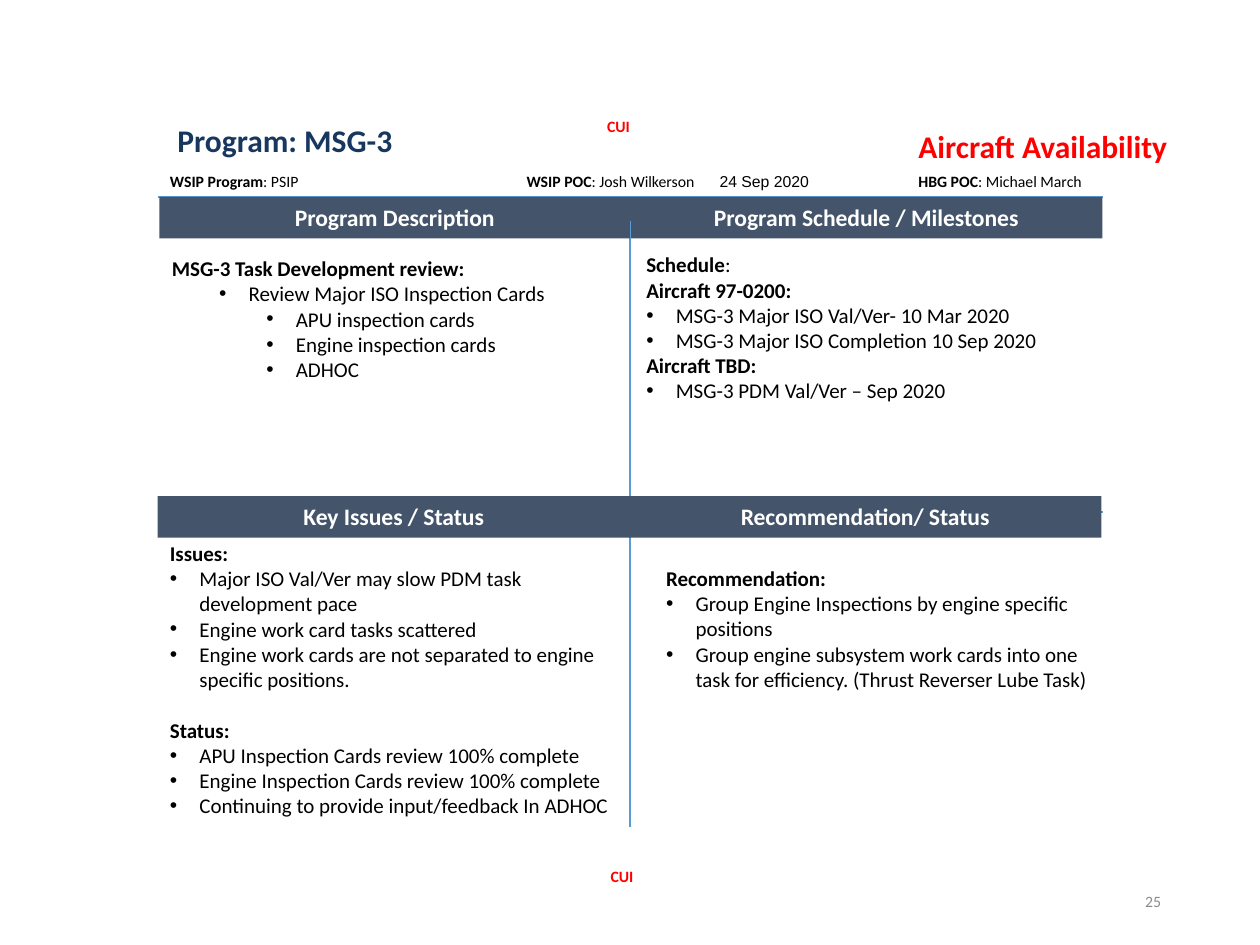
from lxml import etree
from pptx import Presentation
from pptx.dml.color import RGBColor
from pptx.enum.shapes import MSO_CONNECTOR, MSO_SHAPE
from pptx.enum.text import MSO_ANCHOR, PP_ALIGN
from pptx.oxml.ns import qn
from pptx.util import Pt

LINE, RECT = MSO_CONNECTOR.STRAIGHT, MSO_SHAPE.RECTANGLE
LEFT, CENTER, RIGHT = PP_ALIGN.LEFT, PP_ALIGN.CENTER, PP_ALIGN.RIGHT
TOP, MIDDLE = MSO_ANCHOR.TOP, MSO_ANCHOR.MIDDLE

NAVY = RGBColor(0x17, 0x37, 0x5E)
SLATE = RGBColor(0x44, 0x54, 0x6A)
BLUE = RGBColor(0x5B, 0x9B, 0xD5)
RED = RGBColor(0xFF, 0x00, 0x00)
GRAY = RGBColor(0x8C, 0x8C, 0x8C)
BLACK = RGBColor(0x00, 0x00, 0x00)
WHITE = RGBColor(0xFF, 0xFF, 0xFF)

HANG = 16.9   # bullet indent
STEP = 27     # further indent of each level
GAP = 14.65   # one line of body text

# Each item: text, bullet level (None for a heading), space before
ABOUT = [("MSG-3 Task Development review:", None, 0),
         ("Review Major ISO Inspection Cards", 1, 0),
         ("APU inspection cards", 2, 0),
         ("Engine inspection cards", 2, 0),
         ("ADHOC", 2, 0)]
PLAN = [("Schedule:", None, 0),
        ("Aircraft 97-0200:", None, 0),
        ("MSG-3 Major ISO Val/Ver- 10 Mar 2020", 0, 0),
        ("MSG-3 Major ISO Completion 10 Sep 2020", 0, 0),
        ("Aircraft TBD:", None, 0),
        ("MSG-3 PDM Val/Ver – Sep 2020", 0, 0)]
ISSUES = [("Issues:", None, 0),
          ("Major ISO Val/Ver may slow PDM task development pace", 0, 0),
          ("Engine work card tasks scattered", 0, 0),
          ("Engine work cards are not separated to engine specific positions.",
           0, 0),
          ("Status:", None, GAP),
          ("APU Inspection Cards review 100% complete", 0, 0),
          ("Engine Inspection Cards review 100% complete", 0, 0),
          ("Continuing to provide input/feedback In ADHOC", 0, 0)]
ADVICE = [("Recommendation:", None, 0),
          ("Group Engine Inspections by engine specific positions", 0, 0),
          ("Group engine subsystem work cards into one task for efficiency. "
           "(Thrust Reverser Lube Task)", 0, 0)]


def add_run(para, text, size, color=BLACK, bold=False, name="Calibri"):
    run = para.add_run()
    run.text = text
    form = {"size": Pt(size), "bold": bold, "name": name}
    for key, value in form.items():
        setattr(run.font, key, value)
    run.font.color.rgb = color


def add_box(slide, place, wrap=True, anchor=TOP):
    box = slide.shapes.add_textbox(*map(Pt, place))
    form = {"word_wrap": wrap, "vertical_anchor": anchor}
    for key, value in form.items():
        setattr(box.text_frame, key, value)
    return box.text_frame.paragraphs[0]


def add_title(slide, place, text, color):
    para = add_box(slide, place)
    para.line_spacing = Pt(17.2)
    add_run(para, text, 18, color, True)


def add_label(slide, place, label, value, wrap=False):
    para = add_box(slide, place, wrap)
    add_run(para, label, 9, bold=True)
    add_run(para, ": " + value, 9)
    return para


def set_tab(para, pos):
    tabs = etree.SubElement(para._p.get_or_add_pPr(), qn("a:tabLst"))
    etree.SubElement(tabs, qn("a:tab"), pos=str(Pt(pos)), algn="l")


def set_bullet(para, level):
    props = para._p.get_or_add_pPr()
    props.set("marL", str(Pt(HANG + STEP * level)))
    props.set("indent", str(-Pt(HANG)))
    etree.SubElement(props, qn("a:buFont"), typeface="Arial")
    etree.SubElement(props, qn("a:buChar"), char="•")
    para.level = level


def add_list(slide, place, items):
    first = add_box(slide, place)
    frame = first._parent
    for count, (text, level, space) in enumerate(items):
        para = frame.add_paragraph() if count else first
        if space:
            para.space_before = Pt(space)
        if level is not None:
            set_bullet(para, level)
        if text == "Schedule:":
            add_run(para, text[:-1], 12, bold=True)
            add_run(para, ":", 12)
        else:
            add_run(para, text, 12, bold=level is None)


def add_line(slide, *ends):
    line = slide.shapes.add_connector(LINE, *map(Pt, ends))
    line.line.color.rgb = BLUE
    line.line.width = Pt(1.5)
    etree.SubElement(line._element.spPr, qn("a:effectLst"))


def add_band(slide, left, top, width, text):
    band = slide.shapes.add_shape(RECT, *map(Pt, (left, top, width, 23.8)))
    band.shadow.inherit = False
    band.fill.solid()
    band.fill.fore_color.rgb = SLATE
    band.line.fill.background()
    band.text_frame.vertical_anchor = TOP
    para = band.text_frame.paragraphs[0]
    para.alignment = CENTER
    add_run(para, text, 13.5, WHITE, True)


def main():
    deck = Presentation()
    deck.slide_width, deck.slide_height = Pt(720), Pt(540)
    slide = deck.slides.add_slide(deck.slide_layouts[6])

    # Titles and contacts
    add_title(slide, (94.3, 69.8, 141, 24.5), "Program: MSG-3", NAVY)
    add_title(slide, (517.7, 73.4, 216.7, 24.5), "Aircraft Availability", RED)
    add_label(slide, (90, 94.3, 90.7, 18), "WSIP Program", "PSIP")
    para = add_label(slide, (293.8, 94.3, 232.6, 18), "WSIP POC",
                     "Josh Wilkerson\t", True)
    set_tab(para, 110.3)
    add_run(para, "24 Sep 2020", 9, name="Arial")
    add_label(slide, (517.7, 94.3, 108.7, 18), "HBG POC", "Michael March")

    # Quadrant lines and headers
    add_line(slide, 90, 112.5, 630, 112.5)
    add_band(slide, 360, 112.5, 270, "Program Schedule / Milestones")
    add_line(slide, 90, 292.5, 630, 292.5)
    add_line(slide, 360, 472.5, 360, 126)
    add_band(slide, 91.1, 112.5, 268.9, "Program Description")
    add_band(slide, 90, 283.5, 270, "Key Issues / Status")
    add_band(slide, 359.4, 283.5, 270, "Recommendation/ Status")

    # Quadrant text
    add_list(slide, (91.1, 142.6, 266.4, 80), ABOUT)
    add_list(slide, (362.2, 140.4, 267.8, 94.5), PLAN)
    add_list(slide, (90, 305.3, 266.4, 167), ISSUES)
    add_list(slide, (373.5, 319.7, 267.8, 80), ADVICE)

    # Markings and page number
    for left, top in ((339.8, 63.4), (341.8, 491.8)):
        add_run(add_box(slide, (left, top, 27.4, 18), False),
                "CUI", 9, RED, True)
    para = add_box(slide, (508.5, 500.5, 162, 28.8), anchor=MIDDLE)
    para.alignment = RIGHT
    add_run(para, "25", 9, GRAY)

    deck.save("out.pptx")


if __name__ == "__main__":
    main()
